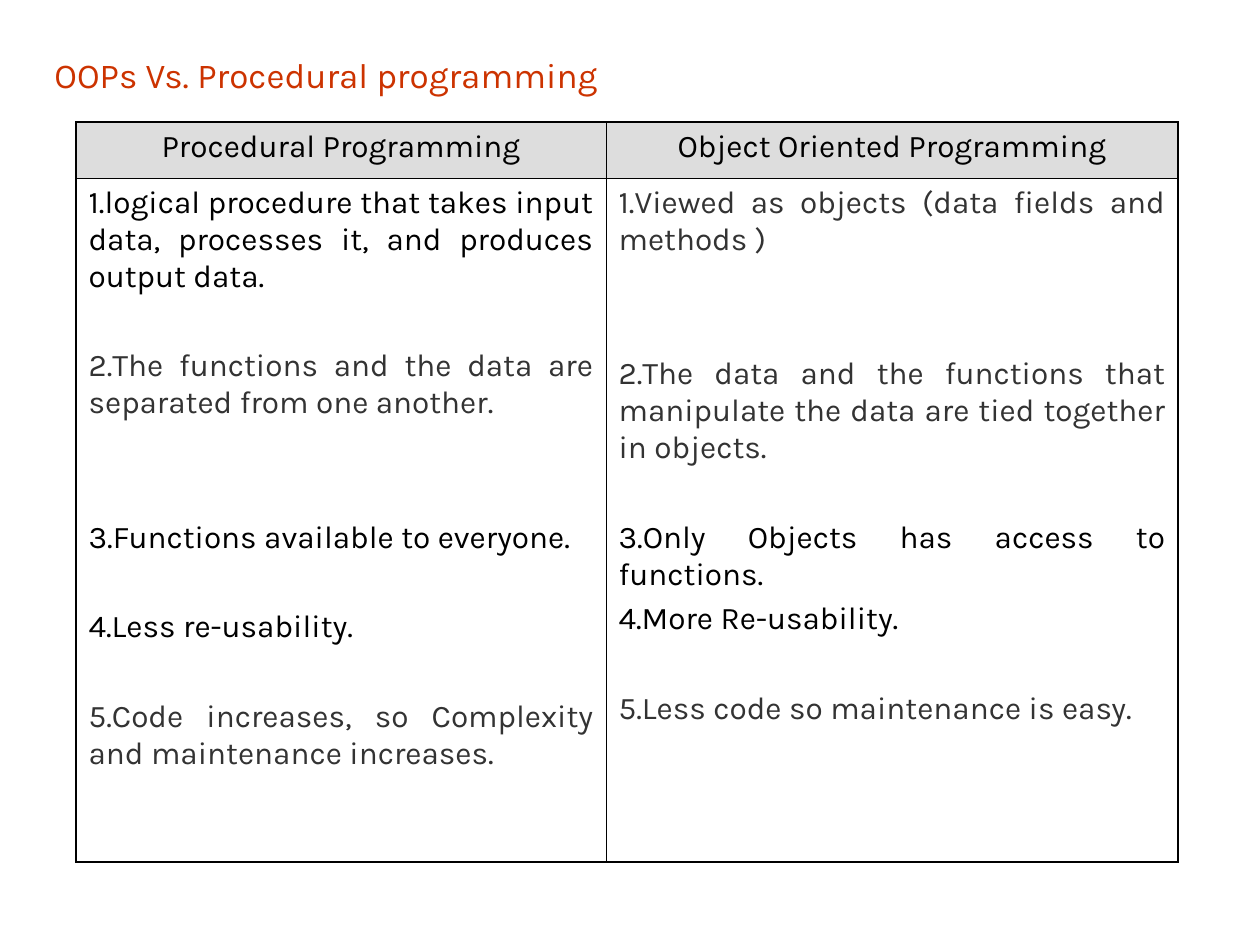
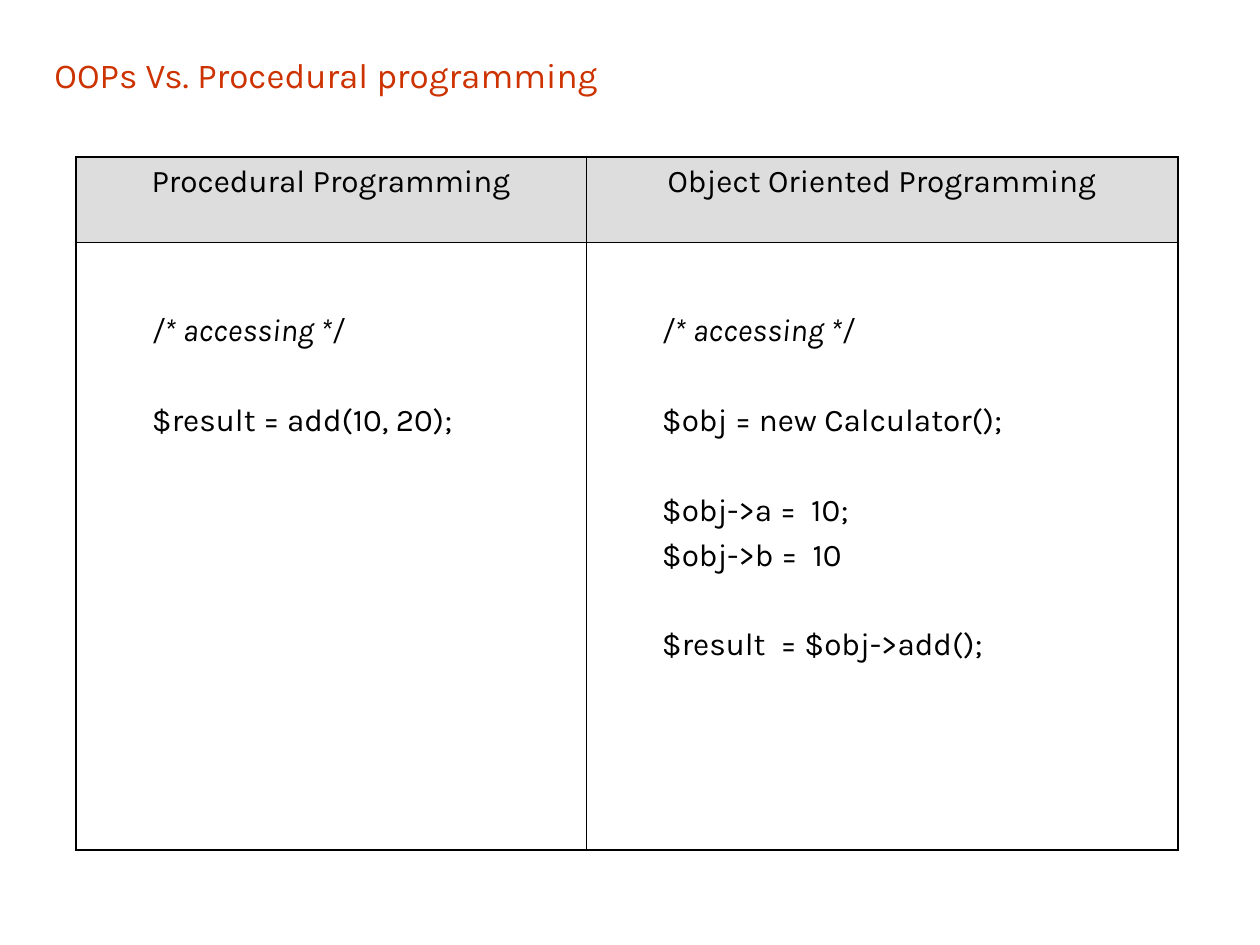
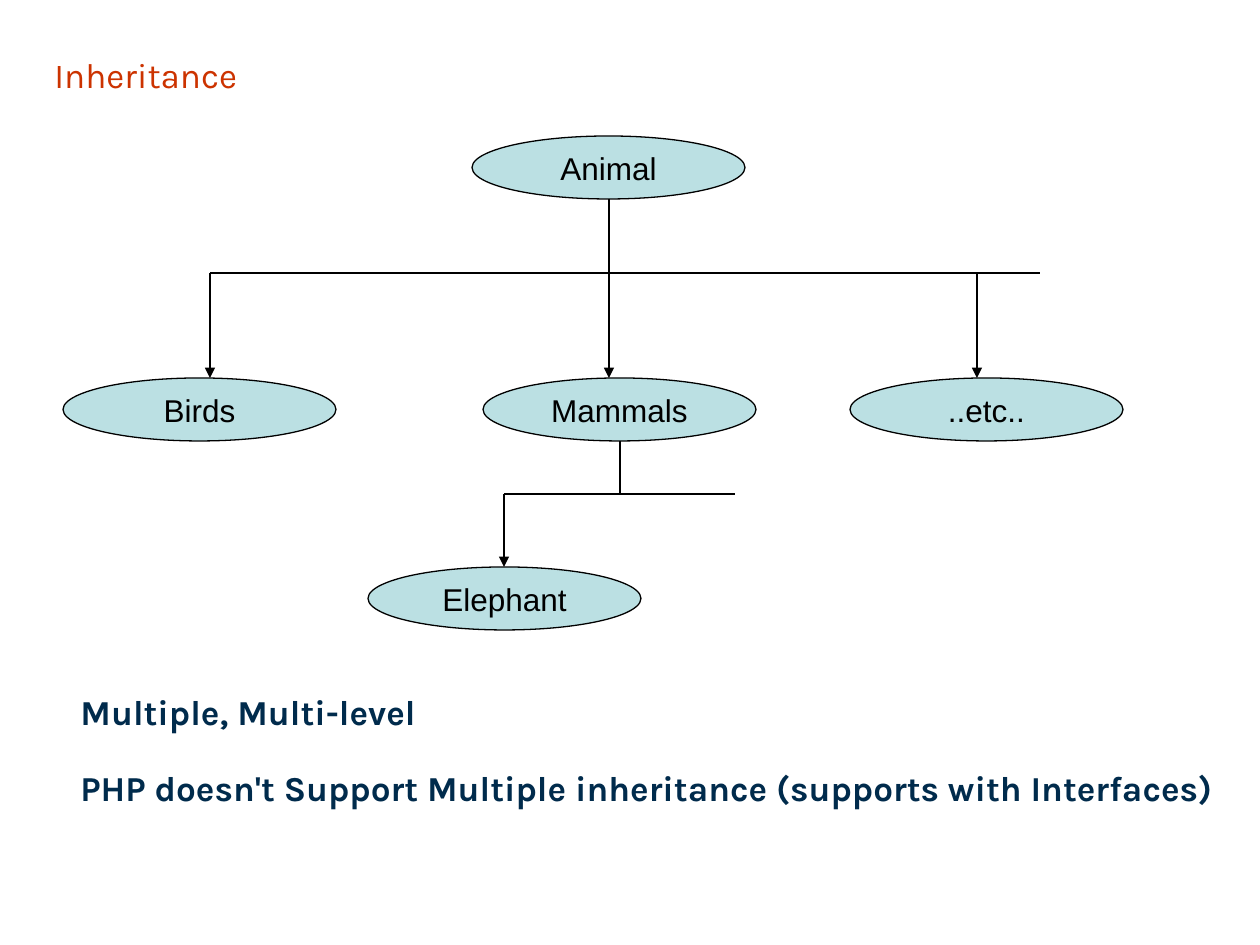
from lxml.etree import SubElement
from pptx import Presentation
from pptx.dml.color import RGBColor
from pptx.enum.shapes import MSO_CONNECTOR, MSO_SHAPE
from pptx.enum.text import MSO_ANCHOR as ANCHOR, PP_ALIGN as ALIGN
from pptx.oxml.ns import qn
from pptx.util import Pt

C = {"title": "CC3300", "black": "000000", "gray": "333333", "header": "DDDDDD",
     "node": "BBE0E3", "note": "002B4C"}

# Text formats
TITLE = dict(size=20, name="Karla", color="title")
BLACK = dict(size=18, name="Karla", color="black", bold=False)
GRAY = {**BLACK, "color": "gray"}
ITALIC = {**BLACK, "italic": True}
NODE = dict(size=18, name="Arial", color="black")
NOTE = dict(size=20, name="Karla", color="note", bold=True)

# Content: a cell paragraph is (empty lines above, text, format)
VERSUS = "OOPs Vs. Procedural programming"
HEADINGS = ["Procedural Programming", "Object Oriented Programming"]
COMPARISON = dict(
    top=122, cols=[530, 572], rows=[56, 684], align=ALIGN.JUSTIFY, margins={},
    body=[
        [(0, "1.logical procedure that takes input data, processes it, and produces output data.", BLACK),
         (1, "2.The functions and the data are separated from one another.", GRAY),
         (2, "3.Functions available to everyone.", BLACK),
         (1, "4.Less re-usability.", BLACK),
         (1, "5.Code increases, so Complexity and maintenance increases.", GRAY)],
        [(0, "1.Viewed as objects (data fields and methods )", GRAY),
         (2, "2.The data and the functions that manipulate the data are tied together in objects.", GRAY),
         (1, "3.Only Objects has access to functions.", BLACK),
         (0, "4.More Re-usability.", BLACK),
         (1, "5.Less code so maintenance is easy.", GRAY)],
    ])
CODE = dict(
    top=157, cols=[510, 592], rows=[85, 608], align=ALIGN.LEFT,
    margins=dict(margin_left=76, margin_top=71),
    body=[
        [(0, "/* accessing */", ITALIC),
         (1, "$result = add(10, 20);", BLACK)],
        [(0, "/* accessing */", ITALIC),
         (1, "$obj = new Calculator();", BLACK),
         (1, "$obj->a =  10;", BLACK),
         (0, "$obj->b =  10", BLACK),
         (1, "$result  = $obj->add();", BLACK)],
    ])
NODES = [("Animal", 472, 136), ("Birds", 63, 378), ("Mammals", 483, 378),
         ("..etc..", 850, 378), ("Elephant", 368, 567)]
BRANCHES = [
    dict(trunk=609, top=199, bar=273, span=(210, 1040), drops=[210, 609, 977], bottom=378),
    dict(trunk=620, top=441, bar=494, span=(504, 735), drops=[504], bottom=567),
]
NOTES = ["Multiple, Multi-level",
         "PHP doesn't Support Multiple inheritance (supports with Interfaces)"]

TABLE_LEFT, NODE_W, NODE_H = 76, 273, 63
OUTER, INNER = 1.08, 0.45           # border widths, pt
SPACE, LINE = 4.5, 21.1             # paragraph gap and line height, pt


def px(n):
    return round(n * 914400 / 126)


def rgb(key):
    return RGBColor.from_string(C[key])


def write(p, text, fmt, **para):
    r = p.add_run()
    r.text = text
    for key, value in fmt.items():
        if key == "color":
            r.font.color.rgb = rgb(value)
        else:
            setattr(r.font, key, Pt(value) if key == "size" else value)
    for key, value in para.items():
        setattr(p, key, value)


def paragraphs(tf):
    """Yield the first paragraph, then new ones."""
    yield tf.paragraphs[0]
    while True:
        yield tf.add_paragraph()


def text_box(s, box, lines, fmt, anchor, **para):
    tf = s.shapes.add_textbox(*map(px, box)).text_frame
    tf.word_wrap = True
    tf.vertical_anchor = anchor
    for text, p in zip(lines, paragraphs(tf)):
        write(p, text, fmt, **para)


def new_slide(prs, title):
    s = prs.slides.add_slide(prs.slide_layouts[6])
    text_box(s, (42, 52, 976, 44), [title], TITLE, ANCHOR.MIDDLE)
    return s


def border(cell, side, width):
    ln = SubElement(cell._tc.get_or_add_tcPr(), qn(f"a:ln{side}"), w=str(Pt(width)))
    SubElement(SubElement(ln, qn("a:solidFill")), qn("a:srgbClr"), val=C["black"])


def add_comparison(s, top, cols, rows, align, margins, body):
    box = (TABLE_LEFT, top, sum(cols), sum(rows))
    table = s.shapes.add_table(len(rows), len(cols), *map(px, box)).table
    table.first_row = table.horz_banding = False
    for col, width in zip(table.columns, cols):
        col.width = px(width)
    for row, height in zip(table.rows, rows):
        row.height = px(height)

    for i in range(len(rows)):
        for j in range(len(cols)):
            cell = table.cell(i, j)
            edges = {"L": j == 0, "R": j == len(cols) - 1,
                     "T": i == 0, "B": i == len(rows) - 1}
            for side, outer in edges.items():
                border(cell, side, OUTER if outer else INNER)
            if i == 0:
                cell.fill.solid()
                cell.fill.fore_color.rgb = rgb("header")
                write(cell.text_frame.paragraphs[0], HEADINGS[j], BLACK, alignment=ALIGN.CENTER)
                continue
            cell.fill.background()
            for key, value in margins.items():
                setattr(cell, key, px(value))
            for (gap, text, fmt), p in zip(body[j], paragraphs(cell.text_frame)):
                write(p, text, fmt, alignment=align,
                      space_before=Pt(SPACE + gap * (SPACE + LINE)))


def add_node(s, text, left, top):
    sp = s.shapes.add_shape(MSO_SHAPE.OVAL, *map(px, (left, top, NODE_W, NODE_H)))
    sp.shadow.inherit = False
    sp.fill.solid()
    sp.fill.fore_color.rgb = rgb("node")
    sp.line.color.rgb = rgb("black")
    sp.line.width = Pt(0.75)
    tf = sp.text_frame
    tf.word_wrap = False
    tf.vertical_anchor = ANCHOR.MIDDLE
    write(tf.paragraphs[0], text, NODE, alignment=ALIGN.CENTER)


def add_line(s, x1, y1, x2, y2, arrow=False):
    line = s.shapes.add_connector(MSO_CONNECTOR.STRAIGHT, *map(px, (x1, y1, x2, y2)))
    line.line.color.rgb = rgb("black")
    line.line.width = Pt(0.75)
    if arrow:
        SubElement(line.line._get_or_add_ln(), qn("a:tailEnd"), type="triangle")
    SubElement(line._element.spPr, qn("a:effectLst"))


def add_branch(s, trunk, top, bar, span, drops, bottom):
    add_line(s, trunk, top, trunk, bar)
    add_line(s, span[0], bar, span[1], bar)
    for x in drops:
        add_line(s, x, bar, x, bottom, arrow=True)


def main():
    prs = Presentation()
    prs.slide_width, prs.slide_height = px(1260), px(945)

    # Comparison tables
    for table in (COMPARISON, CODE):
        add_comparison(new_slide(prs, VERSUS), **table)

    # Inheritance tree
    s = new_slide(prs, "Inheritance")
    for node in NODES:
        add_node(s, *node)
    for branch in BRANCHES:
        add_branch(s, **branch)
    text_box(s, (68, 651, 1190, 164), NOTES, NOTE, ANCHOR.TOP, line_spacing=1.8)

    prs.save("out.pptx")


if __name__ == "__main__":
    main()
